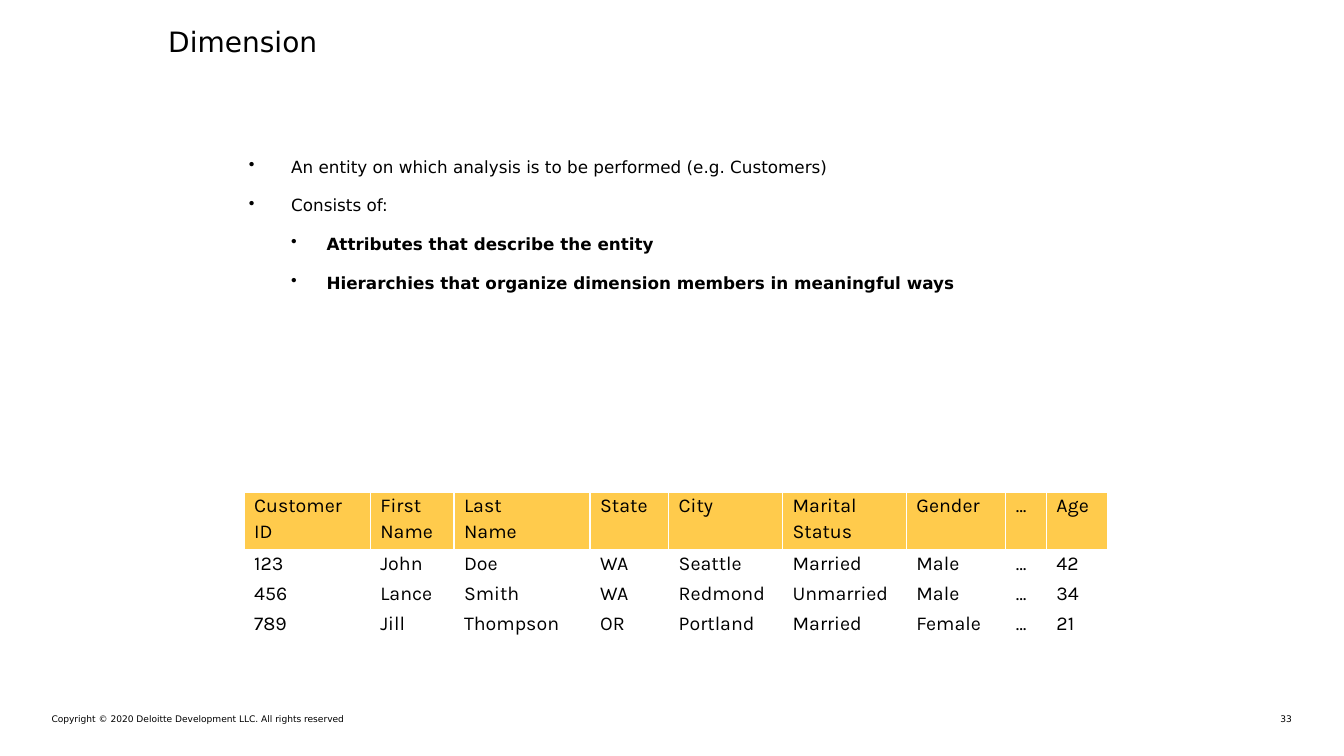
from dataclasses import dataclass

from lxml import etree
from pptx import Presentation
from pptx import util as u
from pptx.dml import color
from pptx.enum import text
from pptx.oxml import ns


@dataclass(frozen=True)
class Theme:
    ink: str = "000000"
    header: str = "FFB601"
    header_alpha: int = 70
    border: str = "FFFFFF"
    sans: str = "DejaVu Sans"
    table_font: str = "Karla"
    title: float = 20
    body: float = 12
    cell: float = 14
    footer: float = 6.5
    outer_line: float = 2.25
    inner_line: float = 1


THEME = Theme()

BULLETS = [  # level, text
    (0, "An entity on which analysis is to be performed (e.g. Customers)"),
    (0, "Consists of:"),
    (1, "Attributes that describe the entity"),
    (1, "Hierarchies that organize dimension members in meaningful ways"),
]
LEVEL_INDENTS = [(1.07, -1.07), (1.96, -0.89)]  # left margin, first line
CELL_INDENT = (1.24, -1.24)

CUSTOMERS = [
    ["Customer\nID", "First\nName", "Last\nName", "State", "City",
     "Marital\nStatus", "Gender", "…", "Age"],
    ["123", "John", "Doe", "WA", "Seattle", "Married", "Male", "…", "42"],
    ["456", "Lance", "Smith", "WA", "Redmond", "Unmarried", "Male", "…", "34"],
    ["789", "Jill", "Thompson", "OR", "Portland", "Married", "Female", "…", "21"],
]
COLUMN_WIDTHS = [3.18, 2.11, 3.43, 1.98, 2.87, 3.12, 2.51, 1.02, 1.57]
ROW_HEIGHTS = [1.45, 0.76, 0.76, 0.76]


def set_all(target, values):
    for name, value in values.items():
        setattr(target, name, value)


def sub(parent, tag, **attrs):
    return etree.SubElement(parent, ns.qn(tag), attrs)


def write(p, words, size, font=THEME.sans, bold=False, **layout):
    set_all(p, layout)
    r = p.add_run()
    r.text = words
    set_all(r.font, {"size": u.Pt(size), "name": font, "bold": bold})
    r.font.color.rgb = color.RGBColor.from_string(THEME.ink)


def indent(p, left, first):
    pPr = p._p.get_or_add_pPr()
    pPr.set("marL", str(u.Cm(left)))
    pPr.set("indent", str(u.Cm(first)))
    return pPr


def paragraph(tf, index):
    return tf.add_paragraph() if index else tf.paragraphs[0]


def text_box(s, *box):
    tf = s.shapes.add_textbox(*map(u.Cm, box)).text_frame
    set_all(tf, {"word_wrap": True, "margin_left": 0, "margin_right": 0,
                 "margin_top": 0, "margin_bottom": 0})
    return tf


def label(s, box, words, size, align=text.PP_ALIGN.LEFT):
    write(text_box(s, *box).paragraphs[0], words, size, alignment=align)


def bullet_list(s, box, items):
    tf = text_box(s, *box)
    for i, (level, words) in enumerate(items):
        p = paragraph(tf, i)
        sub(indent(p, *LEVEL_INDENTS[level]), "a:buChar", char="•")
        write(p, words, THEME.body, bold=level > 0,
              level=level, space_after=u.Pt(13.3))


def border(cell, side, width):
    ln = sub(cell._tc.get_or_add_tcPr(), f"a:ln{side}", w=str(u.Pt(width)))
    sub(sub(ln, "a:solidFill"), "a:srgbClr", val=THEME.border)


def fill_header(cell):
    cell.fill.solid()
    cell.fill.fore_color.rgb = color.RGBColor.from_string(THEME.header)
    rgb = cell._tc.tcPr.find(".//" + ns.qn("a:solidFill") + "[last()]/../"
                             + ns.qn("a:solidFill") + "/" + ns.qn("a:srgbClr")
                             + f"[@val='{THEME.header}']")
    sub(rgb, "a:alpha", val=str(THEME.header_alpha * 1000))


def data_table(s, left, top, rows):
    size = len(rows), len(rows[0])
    table = s.shapes.add_table(
        *size, u.Cm(left), u.Cm(top),
        u.Cm(sum(COLUMN_WIDTHS)), u.Cm(sum(ROW_HEIGHTS))).table
    set_all(table, {"first_row": False, "horz_banding": False})
    for column, width in zip(table.columns, COLUMN_WIDTHS):
        column.width = u.Cm(width)
    for row, height in zip(table.rows, ROW_HEIGHTS):
        row.height = u.Cm(height)

    for i, row in enumerate(rows):
        for j, words in enumerate(row):
            cell = table.cell(i, j)
            # Heavier lines on the outer edge; borders go in before the fill
            edges = {"L": j == 0, "R": j == size[1] - 1,
                     "T": i == 0, "B": i == size[0] - 1}
            for side, outer in edges.items():
                border(cell, side, THEME.outer_line if outer else THEME.inner_line)
            if i == 0:
                fill_header(cell)
            else:
                cell.fill.background()
            for k, line in enumerate(words.split("\n")):
                p = paragraph(cell.text_frame, k)
                indent(p, *CELL_INDENT)
                write(p, line, THEME.cell, THEME.table_font, line_spacing=0.85,
                      space_before=u.Pt(4.2 if k else 0))


def main():
    prs = Presentation()
    set_all(prs, {"slide_width": u.Cm(33.87), "slide_height": u.Cm(19.05)})
    s = prs.slides.add_slide(prs.slide_layouts[6])

    # Footer
    label(s, (1.3, 17.98, 14.88, 0.28),
          "Copyright © 2020 Deloitte Development LLC. All rights reserved",
          THEME.footer)
    label(s, (31.7, 17.98, 0.86, 0.28), "33", THEME.footer, text.PP_ALIGN.RIGHT)

    # Title and definition
    label(s, (4.24, 0.61, 22.86, 2.08), "Dimension", THEME.title)
    bullet_list(s, (6.27, 3.94, 23.37, 7.59), BULLETS)

    # Example dimension
    data_table(s, 6.15, 12.4, CUSTOMERS)

    prs.save("out.pptx")


if __name__ == "__main__":
    main()
